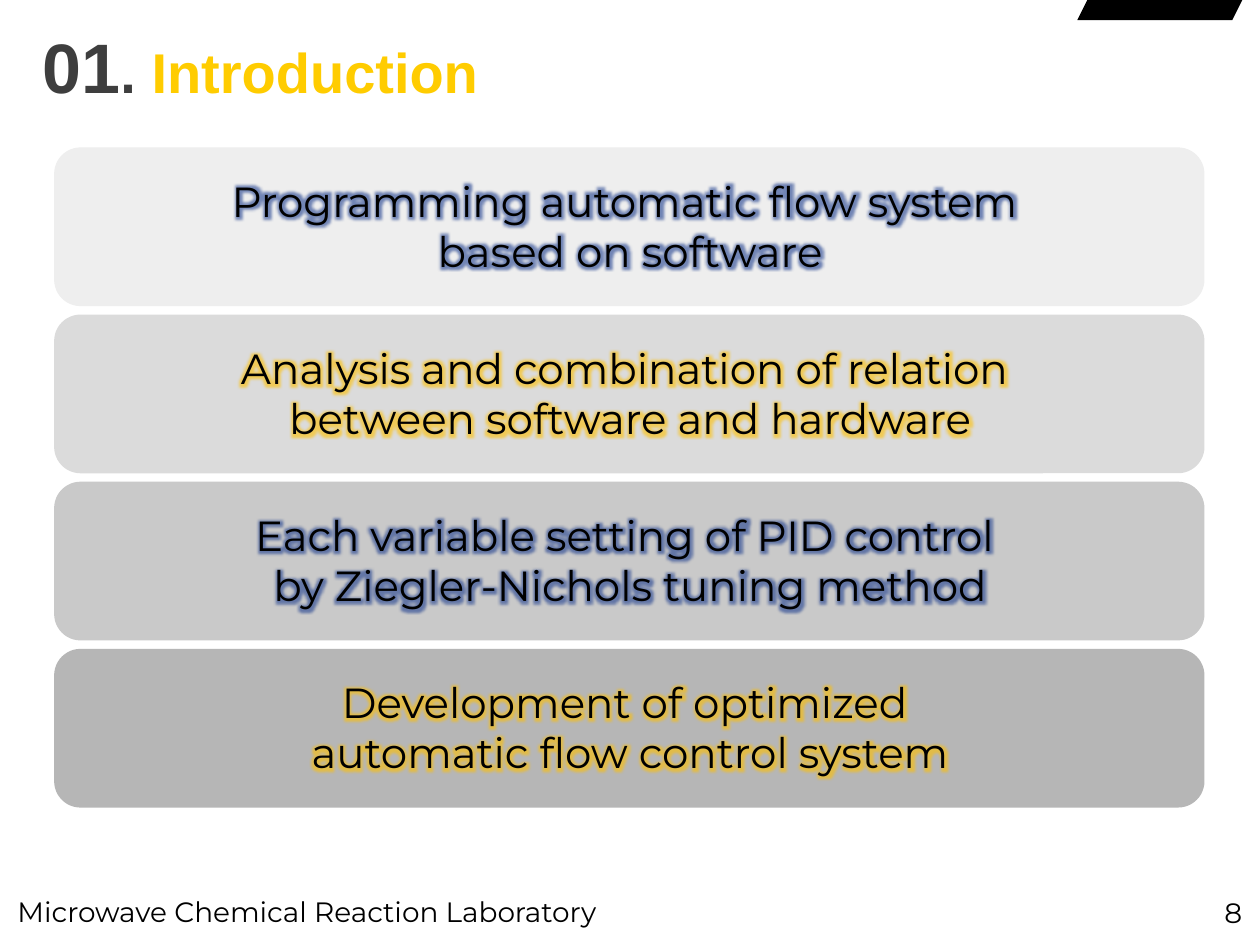
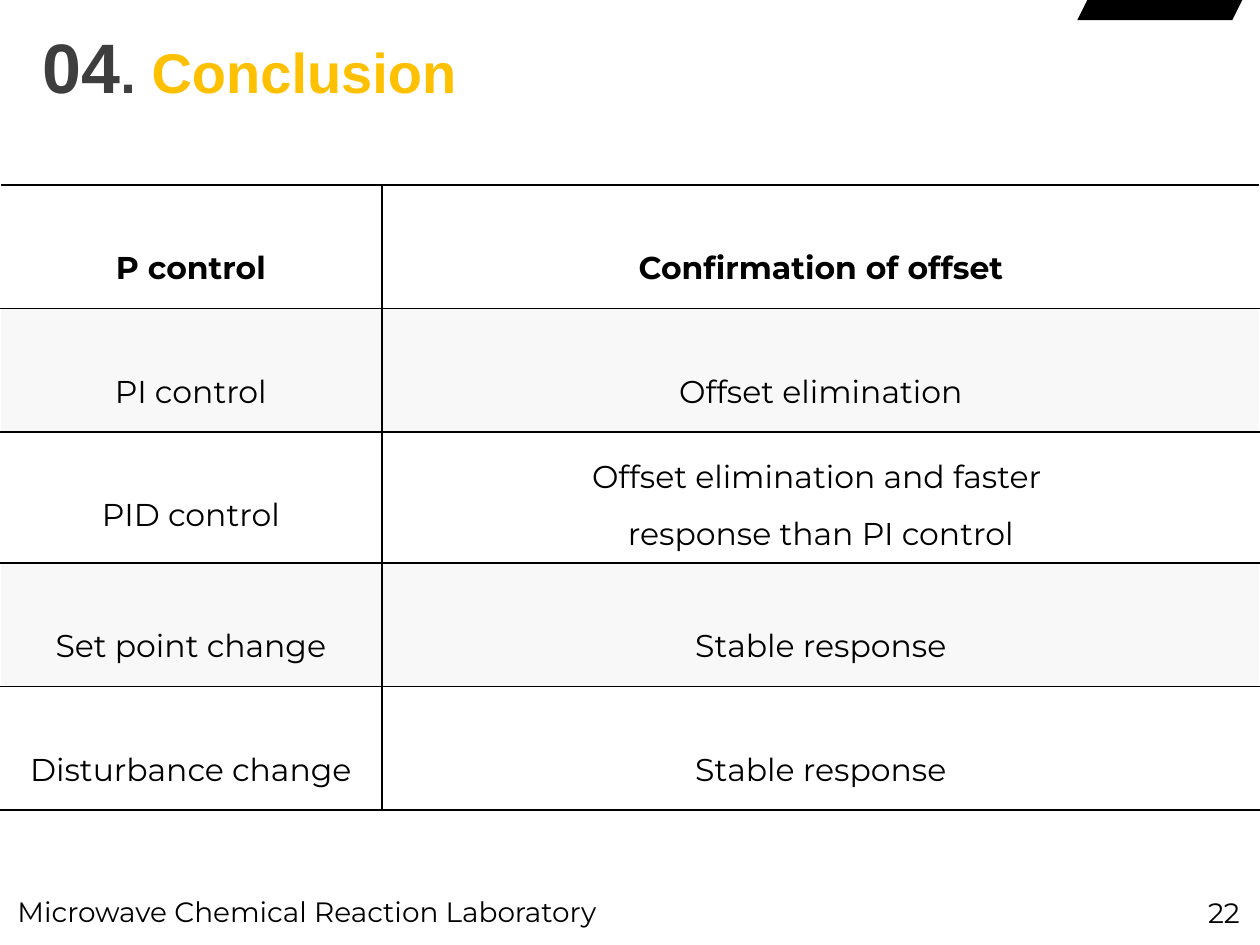
import pptx
import pptx.dml.color
import pptx.enum.shapes
import pptx.enum.text
import pptx.oxml.ns
import pptx.util
from lxml import etree

Inches = pptx.util.Inches
Pt = pptx.util.Pt
RGBColor = pptx.dml.color.RGBColor
ALIGN = pptx.enum.text.PP_ALIGN
ANCHOR = pptx.enum.text.MSO_ANCHOR

BLACK = RGBColor(0x00, 0x00, 0x00)
CHARCOAL = RGBColor(0x3E, 0x3E, 0x3E)
YELLOW = RGBColor(0xFF, 0xCC, 0x00)
GOLD = RGBColor(0xFF, 0xC0, 0x00)
NAVY = RGBColor(0x1F, 0x3F, 0x8F)
BAND = RGBColor(0xF8, 0xF8, 0xF8)
CARD_GREYS = [RGBColor(level, level, level) for level in (0xEE, 0xDB, 0xC9, 0xB6)]

HEADING_FONT = "Arial"
BODY_FONT = "Montserrat"
FOOTER = "Microwave Chemical Reaction Laboratory"
TAB_OUTLINE = [(8.63, 0), (9.86, 0), (9.78, 0.16), (8.55, 0.16)]

GOALS = [
    ["Programming automatic flow system ", "based on software"],
    ["Analysis and combination of relation ", "between software and hardware"],
    ["Each variable setting of PID control ", "by Ziegler-Nichols tuning method"],
    ["Development of optimized ", "automatic flow control system"],
]
CARD_LEFT, CARD_TOP, CARD_WIDTH, CARD_HEIGHT = 0.43, 1.17, 9.13, 1.26
CARDS_HEIGHT = 5.24

FINDINGS = [
    (["P control"], ["Confirmation of offset"]),
    (["PI control"], ["Offset elimination"]),
    (["PID control"], ["Offset elimination and faster ", "response than PI control"]),
    (["Set point change"], ["Stable response"]),
    (["Disturbance change"], ["Stable response"]),
]
COLUMN_WIDTHS = [3.03, 6.97]
ROW_HEIGHTS = [0.98, 0.98, 1.04, 0.98, 0.98]
TABLE_TOP = 1.47


def add_span(para, text, size, color=BLACK, font=BODY_FONT, bold=False):
    span = para.add_run()
    span.text = text
    span.font.size = Pt(size)
    span.font.name = font
    span.font.bold = bold
    span.font.color.rgb = color
    return span


def add_paras(frame, count, align=ALIGN.LEFT, spacing=None):
    paras = [frame.paragraphs[0]] + [frame.add_paragraph() for _ in range(count - 1)]
    for para in paras:
        para.alignment = align
        para.line_spacing = spacing
    return paras


def add_box(page, left, top, width, height):
    box = page.shapes.add_textbox(Inches(left), Inches(top), Inches(width), Inches(height))
    box.text_frame.word_wrap = True
    return box.text_frame


def paint(shape, color):
    shape.shadow.inherit = False
    shape.fill.solid()
    shape.fill.fore_color.rgb = color
    shape.line.fill.background()


def add_glow(span, color):
    fill = span.font._element.find(pptx.oxml.ns.qn("a:solidFill"))
    effects = etree.Element(pptx.oxml.ns.qn("a:effectLst"))
    glow = etree.SubElement(effects, pptx.oxml.ns.qn("a:glow"), rad=str(Pt(8)))
    tint = etree.SubElement(glow, pptx.oxml.ns.qn("a:srgbClr"), val=str(color))
    etree.SubElement(tint, pptx.oxml.ns.qn("a:alpha"), val="60000")
    fill.addnext(effects)


def add_borders(cell, sides):
    properties = cell._tc.get_or_add_tcPr()
    for side in sides:
        line = etree.SubElement(properties, pptx.oxml.ns.qn("a:ln" + side), w=str(Pt(1)))
        fill = etree.SubElement(line, pptx.oxml.ns.qn("a:solidFill"))
        etree.SubElement(fill, pptx.oxml.ns.qn("a:srgbClr"), val=str(BLACK))


def add_page(deck, section, title, title_color, number, number_left):
    page = deck.slides.add_slide(deck.slide_layouts[6])
    corners = [(Inches(x), Inches(y)) for x, y in TAB_OUTLINE]
    outline = page.shapes.build_freeform(*corners[0])
    outline.add_line_segments(corners[1:], close=True)
    paint(outline.convert_to_shape(), BLACK)

    frame = add_box(page, 0.24, 0.21, 8.03, 0.71)
    frame.vertical_anchor = ANCHOR.MIDDLE
    para = add_paras(frame, 1, spacing=0.9)[0]
    for text, size, color in [(section, 40, CHARCOAL), (". ", 32, CHARCOAL), (title, 32, title_color)]:
        add_span(para, text, size, color, HEADING_FONT, True)

    for text, left, top, width in [(FOOTER, 0.04, 7.05, 6.96), (number, number_left, 7.06, 0.5)]:
        frame = add_box(page, left, top, width, 0.37)
        add_span(frame.paragraphs[0], text, 16)
    return page


def add_goal_cards(page):
    gap = (CARDS_HEIGHT - len(GOALS) * CARD_HEIGHT) / (len(GOALS) - 1)
    for index, (lines, grey) in enumerate(zip(GOALS, CARD_GREYS)):
        top = CARD_TOP + index * (CARD_HEIGHT + gap)
        card = page.shapes.add_shape(
            pptx.enum.shapes.MSO_SHAPE.ROUNDED_RECTANGLE,
            Inches(CARD_LEFT), Inches(top), Inches(CARD_WIDTH), Inches(CARD_HEIGHT))
        paint(card, grey)
        frame = add_box(page, 0, top + 0.17, 10, 0.91)
        for para, line in zip(add_paras(frame, len(lines), ALIGN.CENTER), lines):
            add_glow(add_span(para, line, 24), GOLD if index % 2 else NAVY)


def add_findings_table(page):
    table = page.shapes.add_table(
        len(FINDINGS), len(COLUMN_WIDTHS), 0, Inches(TABLE_TOP),
        Inches(sum(COLUMN_WIDTHS)), Inches(sum(ROW_HEIGHTS))).table
    for column, width in zip(table.columns, COLUMN_WIDTHS):
        column.width = Inches(width)
    for row, height in zip(table.rows, ROW_HEIGHTS):
        row.height = Inches(height)
    for row_index, finding in enumerate(FINDINGS):
        for column_index, lines in enumerate(finding):
            cell = table.cell(row_index, column_index)
            add_borders(cell, "LTB" if column_index else "RTB")
            if row_index % 2:
                cell.fill.solid()
                cell.fill.fore_color.rgb = BAND
            else:
                cell.fill.background()
            spacing = 2.5 if len(lines) == 1 else 1.5
            paras = add_paras(cell.text_frame, len(lines), ALIGN.CENTER, spacing)
            for para, line in zip(paras, lines):
                add_span(para, line, 18, bold=row_index == 0)


def main():
    deck = pptx.Presentation()
    deck.slide_width = Inches(10)
    deck.slide_height = Inches(7.5)
    add_goal_cards(add_page(deck, "01", "Introduction", YELLOW, "8", 9.62))
    add_findings_table(add_page(deck, "04", "Conclusion", GOLD, "22", 9.49))
    deck.save("out.pptx")


if __name__ == "__main__":
    main()
